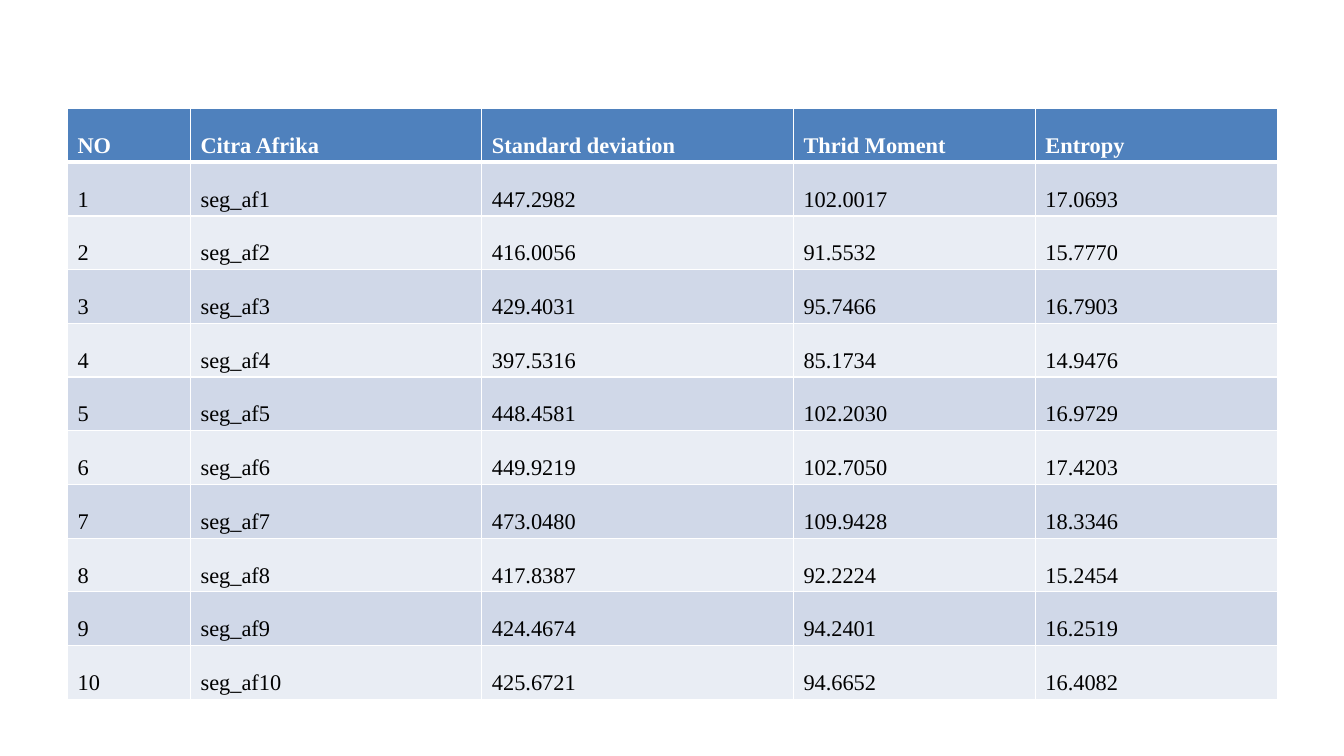
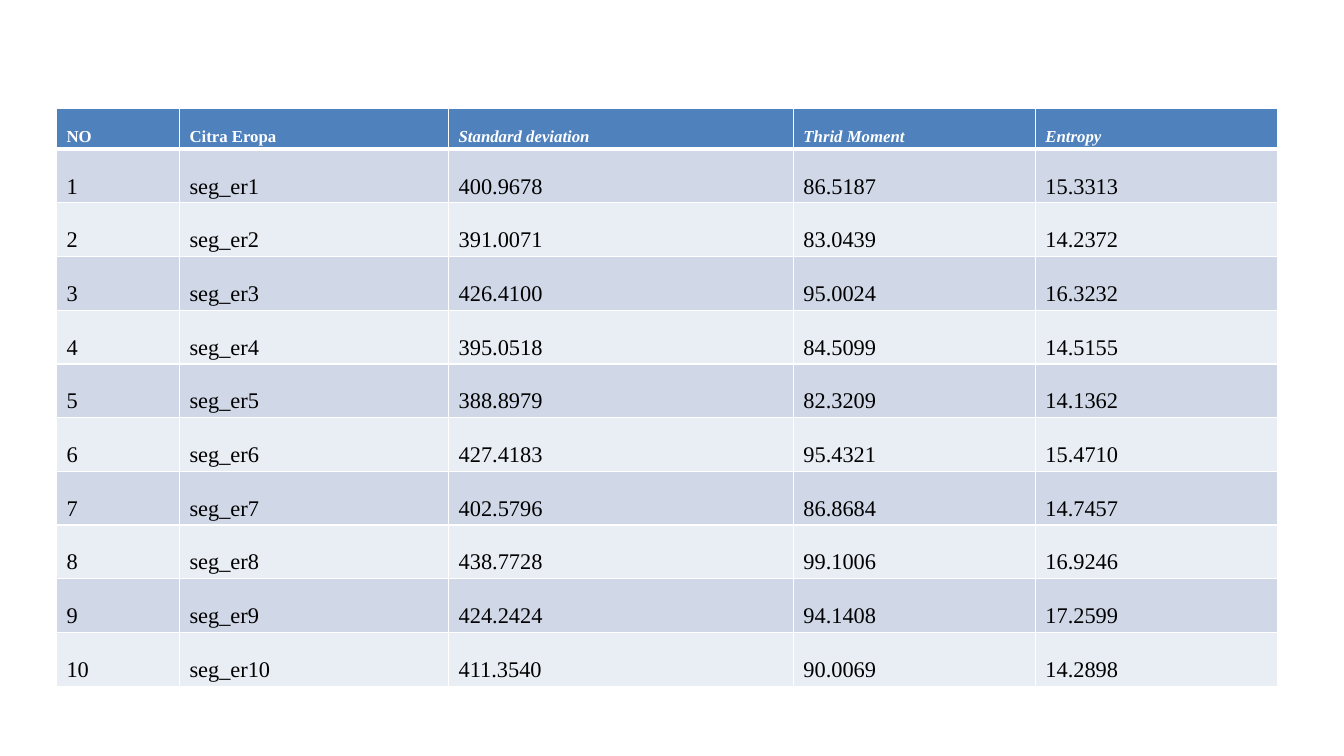
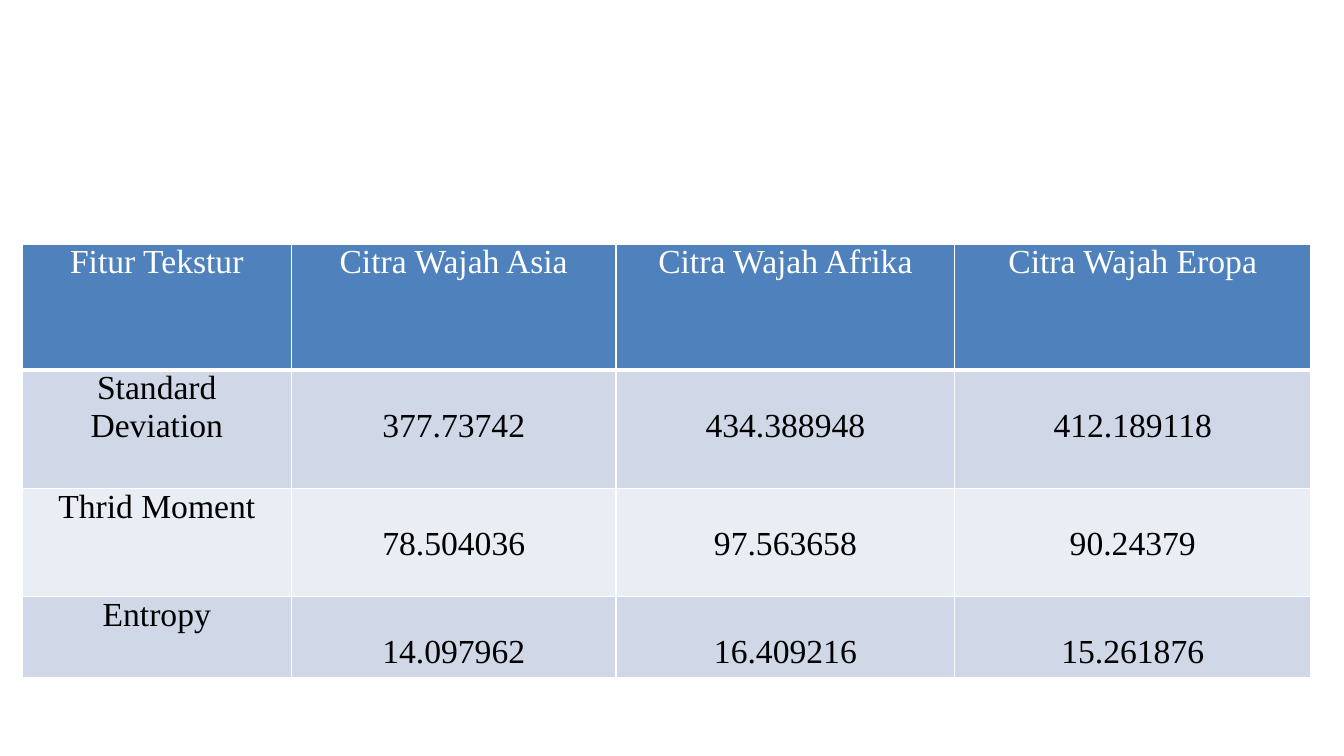
from lxml.etree import SubElement
from pptx import Presentation
from pptx.dml.color import RGBColor
from pptx.enum.text import PP_ALIGN
from pptx.oxml.ns import qn
from pptx.util import Inches, Pt

FONT = "Times New Roman"
COLORS = {"header": "4F81BD", "odd": "D0D8E8", "even": "E9EDF4",
          "line": "FFFFFF", "header_text": "FFFFFF", "body_text": "000000"}
HEADER_LINES = {"a:lnL": 1, "a:lnR": 1, "a:lnT": 1, "a:lnB": 3}

FEATURES = ["Standard deviation", "Thrid Moment", "Entropy"]
AFRICA = [
    ("447.2982", "102.0017", "17.0693"),
    ("416.0056", "91.5532", "15.7770"),
    ("429.4031", "95.7466", "16.7903"),
    ("397.5316", "85.1734", "14.9476"),
    ("448.4581", "102.2030", "16.9729"),
    ("449.9219", "102.7050", "17.4203"),
    ("473.0480", "109.9428", "18.3346"),
    ("417.8387", "92.2224", "15.2454"),
    ("424.4674", "94.2401", "16.2519"),
    ("425.6721", "94.6652", "16.4082"),
]
EUROPE = [
    ("400.9678", "86.5187", "15.3313"),
    ("391.0071", "83.0439", "14.2372"),
    ("426.4100", "95.0024", "16.3232"),
    ("395.0518", "84.5099", "14.5155"),
    ("388.8979", "82.3209", "14.1362"),
    ("427.4183", "95.4321", "15.4710"),
    ("402.5796", "86.8684", "14.7457"),
    ("438.7728", "99.1006", "16.9246"),
    ("424.2424", "94.1408", "17.2599"),
    ("411.3540", "90.0069", "14.2898"),
]
SUMMARY = [
    ("Fitur Tekstur", "Citra Wajah Asia", "Citra Wajah Afrika", "Citra Wajah Eropa"),
    ("Standard Deviation", "377.73742", "434.388948", "412.189118"),
    ("Thrid Moment", "78.504036", "97.563658", "90.24379"),
    ("Entropy", "14.097962", "16.409216", "15.261876"),
]


def color(name):
    return RGBColor.from_string(COLORS[name])


def rule_header(cell):
    """Draw the white lines around a header cell."""
    for tag, width in HEADER_LINES.items():
        line = SubElement(cell._tc.get_or_add_tcPr(), qn(tag), w=str(Pt(width)))
        fill = SubElement(line, qn("a:solidFill"))
        SubElement(fill, qn("a:srgbClr"), val=COLORS["line"])


def write_cell(cell, text, fill, size, align, spacing, bold=False, italic=False):
    header = fill == "header"
    if header:
        rule_header(cell)
    cell.fill.solid()
    cell.fill.fore_color.rgb = color(fill)
    cell.margin_left = cell.margin_right = Inches(0.1)
    cell.margin_top = cell.margin_bottom = 0
    para = cell.text_frame.paragraphs[0]
    para.alignment = align
    para.line_spacing = spacing
    span = para.add_run()
    span.text = text
    font = span.font
    font.name, font.size, font.bold, font.italic = FONT, Pt(size), bold, italic
    font.color.rgb = color("header_text" if header else "body_text")


def add_grid(page, left, top, widths, heights):
    """Place an empty table with the given column widths and row heights."""
    frame = page.shapes.add_table(
        len(heights), len(widths), Inches(left), Inches(top),
        Inches(sum(widths)), Inches(sum(heights)))
    table = frame.table
    for column, width in zip(table.columns, widths):
        column.width = Inches(width)
    for row, height in zip(table.rows, heights):
        row.height = Inches(height)
    return table


def row_fill(index):
    if index == 0:
        return "header"
    return "odd" if index % 2 else "even"


def sample_page(page, left, top, widths, region, prefix, samples,
                header_height, header_size, italic_features):
    """Numbered samples, one row each, with their three texture features."""
    heights = [header_height] + [0.533] * len(samples)
    table = add_grid(page, left, top, widths, heights)
    rows = [["NO", region, *FEATURES]]
    rows += [[str(n), f"{prefix}{n}", *values] for n, values in enumerate(samples, 1)]
    for r, texts in enumerate(rows):
        header = r == 0
        for c, text in enumerate(texts):
            write_cell(table.cell(r, c), text, row_fill(r),
                       header_size if header else 16, PP_ALIGN.JUSTIFY, 2.0,
                       bold=header, italic=header and italic_features and c > 1)


def summary_page(page, left, top, widths, heights):
    """Mean features by region; values sit on double-spaced lines."""
    table = add_grid(page, left, top, widths, heights)
    for r, texts in enumerate(SUMMARY):
        for c, text in enumerate(texts):
            spacing = 2.0 if r and c else 1.0
            write_cell(table.cell(r, c), text, row_fill(r), 24,
                       PP_ALIGN.CENTER, spacing)


def main():
    deck = Presentation()
    deck.slide_width, deck.slide_height = Inches(13.33), Inches(7.5)
    blank = deck.slide_layouts[6]

    # African samples
    sample_page(deck.slides.add_slide(blank), 0.67, 1.08,
                [1.22, 2.89, 3.09, 2.4, 2.4], "Citra Afrika", "seg_af", AFRICA,
                header_height=0.53, header_size=16, italic_features=False)
    # European samples
    sample_page(deck.slides.add_slide(blank), 0.56, 1.08,
                [1.22, 2.67, 3.42, 2.4, 2.4], "Citra Eropa", "seg_er", EUROPE,
                header_height=0.4, header_size=12, italic_features=True)
    # Comparison of regions
    summary_page(deck.slides.add_slide(blank), 0.22, 2.42,
                 [2.67, 3.22, 3.36, 3.53], [1.25, 1.18, 1.07, 0.8])

    deck.save("out.pptx")


if __name__ == "__main__":
    main()
